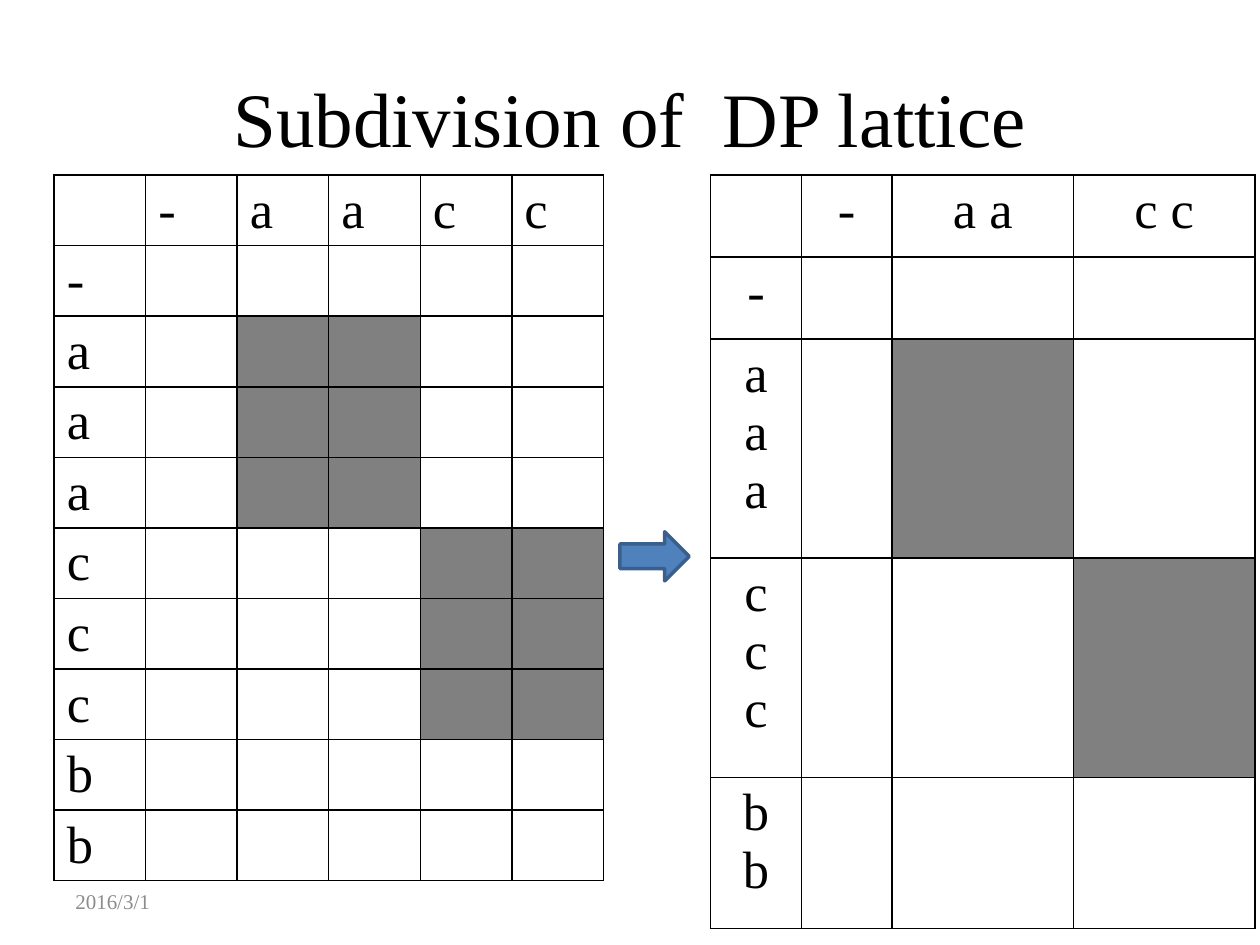
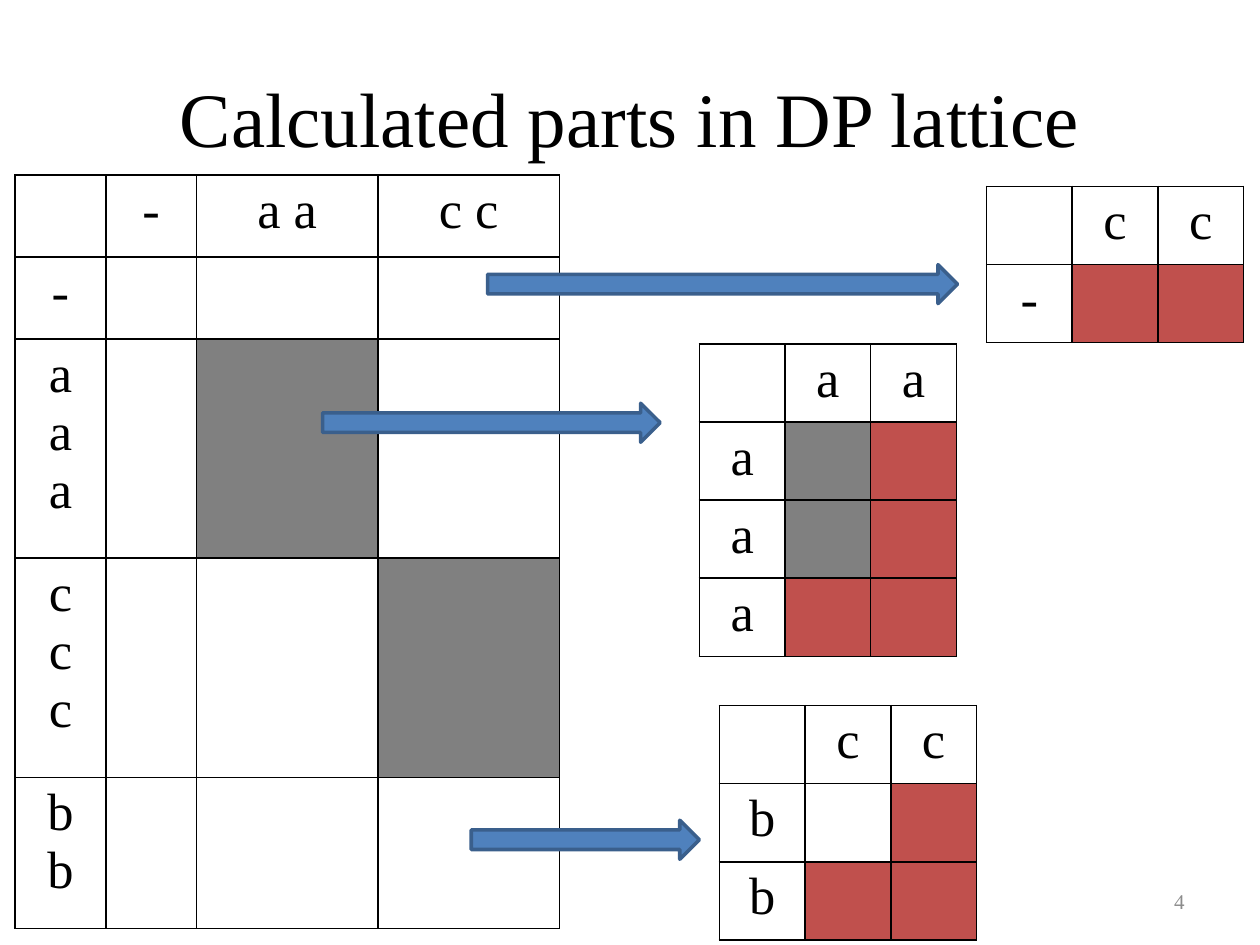
from lxml import etree
from pptx import Presentation
from pptx import util as u
from pptx.dml import color
from pptx.enum import shapes, text
from pptx.oxml import ns

COLORS = {
    "black": "000000", "white": "FFFFFF", "gray": "808080", "red": "C0504D",
    "blue": "4F81BD", "outline": "3A5F8C", "footer": "8C8C8C",
}
CELL_FILLS = {".": "white", "g": "gray", "r": "red"}
FONT = "Times New Roman"
LEFT, CENTER, RIGHT = text.PP_ALIGN.LEFT, text.PP_ALIGN.CENTER, text.PP_ALIGN.RIGHT


def write_text(frame, content, size=30, fill="black", align=CENTER):
    """Write one paragraph for each line of the content."""
    for index, line in enumerate(content.split("\n")):
        paragraph = frame.add_paragraph() if index else frame.paragraphs[0]
        paragraph.alignment = align
        run = paragraph.add_run()
        run.text = line
        run.font.size = u.Pt(size)
        run.font.name = FONT
        run.font.color.rgb = color.RGBColor.from_string(COLORS[fill])


def add_lattice(slide, left, top, widths, heights, heads, sides, pattern, align=CENTER):
    """Add a table with column heads, row heads and a pattern of cell fills."""
    frame = slide.shapes.add_table(
        len(heights), len(widths), u.Inches(left), u.Inches(top),
        u.Inches(sum(widths)), u.Inches(sum(heights)))
    table = frame.table
    table.first_row = table.horz_banding = False
    for column, width in zip(table.columns, widths):
        column.width = u.Inches(width)
    for row, height in zip(table.rows, heights):
        row.height = u.Inches(height)

    for r in range(len(heights)):
        for c in range(len(widths)):
            cell = table.cell(r, c)
            # Without a bottom margin the text fits the row, so no row grows
            cell.margin_bottom = 0
            label, key = "", "."
            if r and c:
                key = pattern[r - 1][c - 1]
            elif c:
                label = heads[c - 1]
            elif r:
                label = sides[r - 1]
            if label:
                write_text(cell.text_frame, label, align=align)
            cell.fill.solid()
            cell.fill.fore_color.rgb = color.RGBColor.from_string(COLORS[CELL_FILLS[key]])

            # Borders come before the fill in the cell properties
            properties = cell._tc.get_or_add_tcPr()
            for position, side in enumerate(("lnL", "lnR", "lnT", "lnB")):
                border = etree.Element(ns.qn(f"a:{side}"), w=str(u.Pt(1)))
                solid = etree.SubElement(border, ns.qn("a:solidFill"))
                etree.SubElement(solid, ns.qn("a:srgbClr"), val=COLORS["black"])
                properties.insert(position, border)


# Block lattice that both slides show
block_lattice = dict(
    top=1.39, widths=[0.72, 0.72, 1.44, 1.44], heights=[0.65, 0.65, 1.74, 1.74, 1.2],
    heads=["-", "a a", "c c"], sides=["-", "a\na\na", "c\nc\nc", "b\nb"],
    pattern=["...", ".g.", "..g", "..."])

# Full lattice, one letter to each row and column
full_lattice = dict(
    left=0.43, top=1.39, widths=[4.36 / 6] * 6, heights=[0.56] * 10,
    heads="-aacc", sides="-aaacccbb", align=LEFT,
    pattern=["....."] + [".gg.."] * 3 + ["...gg"] * 3 + ["....."] * 2)

# Enlarged blocks: left, top, heads, sides, pattern
enlarged_blocks = [
    dict(left=left, top=top, widths=[0.68] * 3, heights=[0.62] * (len(sides) + 1),
         heads=heads, sides=sides, pattern=pattern)
    for left, top, heads, sides, pattern in [
        (7.83, 1.48, "cc", "-", ["rr"]),
        (5.55, 2.73, "aa", "aaa", ["gr", "gr", "rr"]),
        (5.71, 5.6, "cc", "bb", [".r", "rr"]),
    ]
]

slide_contents = [
    dict(
        title="Subdivision of  DP lattice",
        footer=("2016/3/1", 0.5, LEFT),
        lattices=[full_lattice, dict(block_lattice, left=5.64)],
        arrows=[(4.92, 4.22, 0.55, 0.39)]),
    dict(
        title="Calculated parts in DP lattice",
        footer=("4", 7.17, RIGHT),
        lattices=[dict(block_lattice, left=0.12)] + enlarged_blocks,
        arrows=[(3.87, 2.1, 3.73, 0.31), (2.56, 3.2, 2.68, 0.31), (3.74, 6.51, 1.81, 0.31)]),
]

presentation = Presentation()
presentation.slide_width = u.Inches(10)
presentation.slide_height = u.Inches(7.5)

for content in slide_contents:
    slide = presentation.slides.add_slide(presentation.slide_layouts[5])

    # Title
    title = slide.shapes.title
    title.left, title.top, title.width, title.height = map(u.Inches, (0.5, 0.3, 9, 1.25))
    title.text_frame.vertical_anchor = text.MSO_ANCHOR.MIDDLE
    write_text(title.text_frame, content["title"], size=44)

    # Footer
    label, left, align = content["footer"]
    footer = slide.shapes.add_textbox(*map(u.Inches, (left, 6.95, 2.33, 0.4)))
    footer.text_frame.word_wrap = True
    footer.text_frame.vertical_anchor = text.MSO_ANCHOR.MIDDLE
    write_text(footer.text_frame, label, size=12, fill="footer", align=align)

    # Lattices
    for lattice in content["lattices"]:
        add_lattice(slide, **lattice)

    # Arrows from a block to its detail
    for box in content["arrows"]:
        arrow = slide.shapes.add_shape(shapes.MSO_SHAPE.RIGHT_ARROW, *map(u.Inches, box))
        arrow.shadow.inherit = False
        arrow.fill.solid()
        arrow.fill.fore_color.rgb = color.RGBColor.from_string(COLORS["blue"])
        arrow.line.color.rgb = color.RGBColor.from_string(COLORS["outline"])
        arrow.line.width = u.Pt(2)

presentation.save("out.pptx")
